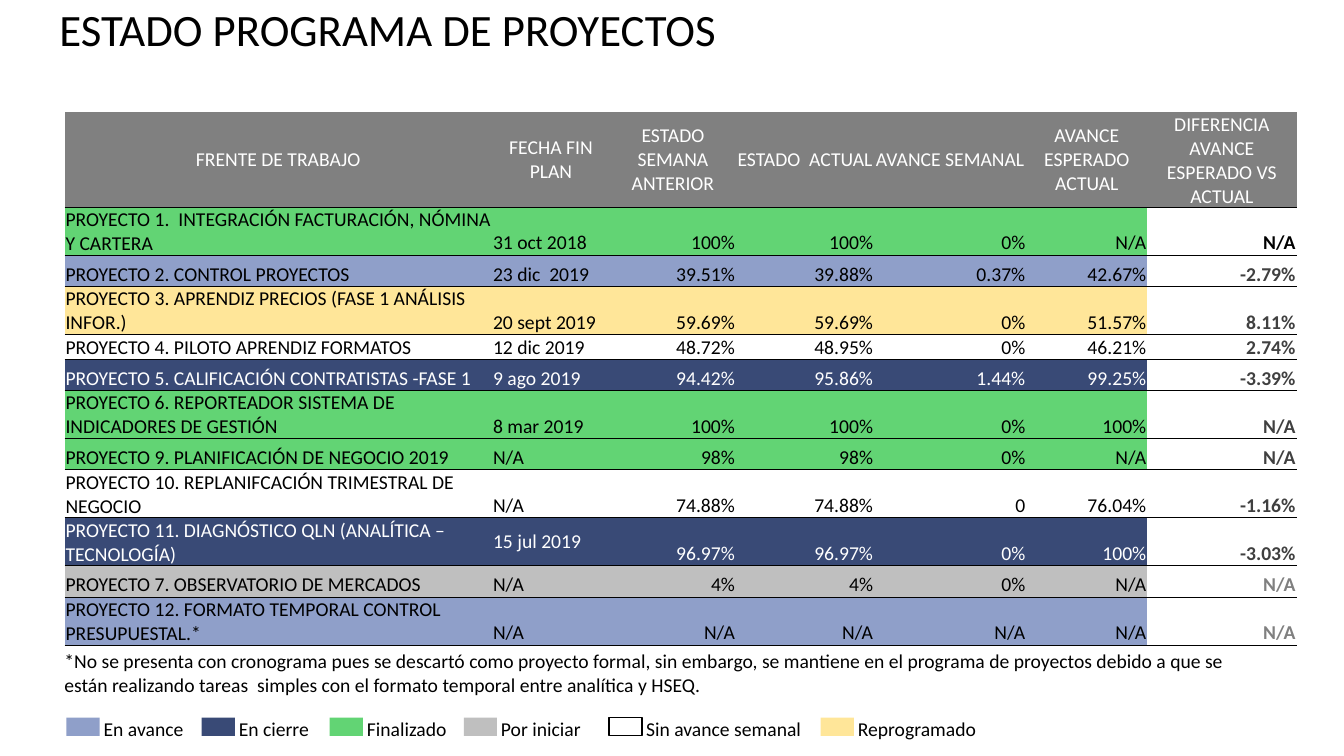
import lxml.etree
import pptx
import pptx.dml.color
import pptx.enum.shapes
import pptx.enum.text
import pptx.oxml.ns
import pptx.util

RGB = pptx.dml.color.RGBColor
ALIGN = pptx.enum.text.PP_ALIGN
ANCHOR = pptx.enum.text.MSO_ANCHOR

BLACK = RGB(0x00, 0x00, 0x00)
WHITE = RGB(0xFF, 0xFF, 0xFF)
HEADER_GREY = RGB(0x80, 0x80, 0x80)
DARK_GREY = RGB(0x40, 0x40, 0x40)
LIGHT_GREY = RGB(0xBF, 0xBF, 0xBF)
PERIWINKLE = RGB(0x8F, 0x9F, 0xC9)
NAVY = RGB(0x39, 0x4A, 0x76)
GREEN = RGB(0x62, 0xD4, 0x74)
YELLOW = RGB(0xFF, 0xE6, 0x99)

FONT = "Calibri"
NO_TABLE_STYLE = "{2D5ABB26-0587-4C30-8999-92F81FD0307C}"
GRID = pptx.util.Inches(0.1)  # side of one grid square

# Status: fill, text colour
STATUS = {
    "En avance": (PERIWINKLE, BLACK),
    "En cierre": (NAVY, WHITE),
    "Finalizado": (GREEN, BLACK),
    "Por iniciar": (LIGHT_GREY, BLACK),
    "Sin avance semanal": (WHITE, BLACK),
    "Reprogramado": (YELLOW, BLACK),
}
LEGEND_COLUMNS = [0, 13.4, 26.1, 39.4, 53.8, 74.8]

HEADERS = ["FRENTE DE TRABAJO", "FECHA FIN PLAN", "ESTADO SEMANA ANTERIOR",
           "ESTADO  ACTUAL", "AVANCE SEMANAL", "AVANCE ESPERADO ACTUAL",
           "DIFERENCIA AVANCE ESPERADO VS ACTUAL"]
COLUMN_WIDTHS = [42.4, 11.7, 12.5, 13.7, 15.1, 12, 14.8]
HEADER_HEIGHT, TALL, MEDIUM, SHORT = 9.4, 4.7, 3.1, 2.4

# Status, row height, colour of the difference, cell texts
PROJECTS = [
    ("Finalizado", TALL, BLACK,
     ["PROYECTO 1.  INTEGRACIÓN FACTURACIÓN, NÓMINA Y CARTERA ", "31 oct 2018",
      "100%", "100%", "0%", "N/A", "N/A"]),
    ("En avance", MEDIUM, DARK_GREY,
     ["PROYECTO 2. CONTROL PROYECTOS", "23 dic  2019",
      "39.51%", "39.88%", "0.37%", "42.67%", "-2.79%"]),
    ("Reprogramado", TALL, DARK_GREY,
     ["PROYECTO 3. APRENDIZ PRECIOS (FASE 1 ANÁLISIS INFOR.)", "20 sept 2019",
      "59.69%", "59.69%", "0%", "51.57%", "8.11%"]),
    ("Sin avance semanal", SHORT, DARK_GREY,
     ["PROYECTO 4. PILOTO APRENDIZ FORMATOS", "12 dic 2019",
      "48.72%", "48.95%", "0%", "46.21%", "2.74%"]),
    ("En cierre", MEDIUM, DARK_GREY,
     ["PROYECTO 5. CALIFICACIÓN CONTRATISTAS -FASE 1", "9 ago 2019",
      "94.42%", "95.86%", "1.44%", "99.25%", "-3.39%"]),
    ("Finalizado", TALL, DARK_GREY,
     ["PROYECTO 6. REPORTEADOR SISTEMA DE INDICADORES DE GESTIÓN", "8 mar 2019",
      "100%", "100%", "0%", "100%", "N/A"]),
    ("Finalizado", MEDIUM, DARK_GREY,
     ["PROYECTO 9. PLANIFICACIÓN DE NEGOCIO 2019", "N/A",
      "98%", "98%", "0%", "N/A", "N/A"]),
    ("Sin avance semanal", TALL, DARK_GREY,
     ["PROYECTO 10. REPLANIFCACIÓN TRIMESTRAL DE NEGOCIO", "N/A",
      "74.88%", "74.88%", "0", "76.04%", "-1.16%"]),
    ("En cierre", TALL, DARK_GREY,
     ["PROYECTO 11. DIAGNÓSTICO QLN (ANALÍTICA – TECNOLOGÍA)", "15 jul 2019",
      "96.97%", "96.97%", "0%", "100%", "-3.03%"]),
    ("Por iniciar", MEDIUM, HEADER_GREY,
     ["PROYECTO 7. OBSERVATORIO DE MERCADOS", "N/A",
      "4%", "4%", "0%", "N/A", "N/A"]),
    ("En avance", TALL, HEADER_GREY,
     ["PROYECTO 12. FORMATO TEMPORAL CONTROL PRESUPUESTAL.*", "N/A",
      "N/A", "N/A", "N/A", "N/A", "N/A"]),
]
MIDDLE_DATE = "15 jul 2019"
NOTE = ("*No se presenta con cronograma pues se descartó como proyecto formal, "
        "sin embargo, se mantiene en el programa de proyectos debido a que se "
        "están realizando tareas  simples con el formato temporal entre "
        "analítica y HSEQ.")


def squares(count):
    """Turn a count of grid squares into a length."""
    return round(count * GRID)


def write(frame, text, size=14, color=BLACK, bold=False, align=ALIGN.LEFT):
    """Put one formatted paragraph in a text frame."""
    frame.word_wrap = True
    para = frame.paragraphs[0]
    para.alignment = align
    span = para.add_run()
    span.text = text
    span.font.name = FONT
    span.font.size = pptx.util.Pt(size)
    span.font.bold = bold
    span.font.color.rgb = color


def add_text(page, box, text, **style):
    """Add a text box that fills the given box."""
    shape = page.shapes.add_textbox(*map(squares, box))
    write(shape.text_frame, text, **style)


def fill_cell(cell, text, fill, anchor=ANCHOR.BOTTOM, **style):
    """Write a table cell, colour it and rule a line under it."""
    cell.margin_left = cell.margin_right = cell.margin_top = squares(0.1)
    cell.margin_bottom = 0
    cell.vertical_anchor = anchor
    cell.fill.solid()
    cell.fill.fore_color.rgb = fill
    write(cell.text_frame, text, **style)
    qn = pptx.oxml.ns.qn
    line = lxml.etree.Element(qn("a:lnB"), w=str(pptx.util.Pt(0.5)))
    solid = lxml.etree.SubElement(line, qn("a:solidFill"))
    lxml.etree.SubElement(solid, qn("a:srgbClr"), val=str(BLACK))
    cell._tc.get_or_add_tcPr().insert(0, line)


def add_projects(page, left, top):
    """Place the project table with its top left corner at the given point."""
    heights = [HEADER_HEIGHT] + [project[1] for project in PROJECTS]
    box = left, top, sum(COLUMN_WIDTHS), sum(heights)
    table = page.shapes.add_table(len(heights), len(HEADERS),
                                  *map(squares, box)).table
    table._tbl.tblPr[0].text = NO_TABLE_STYLE
    table.horz_banding = False
    for column, width in zip(table.columns, COLUMN_WIDTHS):
        column.width = squares(width)
    for row, height in zip(table.rows, heights):
        row.height = squares(height)
    for cell, text in zip(table.rows[0].cells, HEADERS):
        fill_cell(cell, text, HEADER_GREY, anchor=ANCHOR.MIDDLE,
                  color=WHITE, align=ALIGN.CENTER)
    for number, (status, _, difference_color, texts) in enumerate(PROJECTS, 1):
        fill, color = STATUS[status]
        for index, text in enumerate(texts):
            last = index == len(texts) - 1
            fill_cell(table.cell(number, index), text, WHITE if last else fill,
                      anchor=ANCHOR.MIDDLE if text == MIDDLE_DATE else ANCHOR.BOTTOM,
                      color=difference_color if last else color, bold=last,
                      align=ALIGN.RIGHT if index > 1 else ALIGN.LEFT)


def add_legend(page, left, top):
    """Place a swatch and a label for each status along one line."""
    for offset, (label, (fill, _)) in zip(LEGEND_COLUMNS, STATUS.items()):
        box = left + offset, top + 0.6, 3.3, 1.8
        swatch = page.shapes.add_shape(pptx.enum.shapes.MSO_SHAPE.RECTANGLE,
                                       *map(squares, box))
        swatch.shadow.inherit = False
        swatch.fill.solid()
        swatch.fill.fore_color.rgb = fill
        if fill == WHITE:
            swatch.line.color.rgb = BLACK
            swatch.line.width = pptx.util.Pt(1)
        else:
            swatch.line.fill.background()
        add_text(page, (left + offset + 2.7, top, 19, 3.4), label)


def build_status_page(deck):
    """Build the slide on the state of the project programme."""
    page = deck.slides.add_slide(deck.slide_layouts[6])
    add_text(page, (4.9, -0.3, 118.9, 6.4), "ESTADO PROGRAMA DE PROYECTOS", size=32)
    add_projects(page, 6.4, 11.1)
    add_legend(page, 6.6, 70.6)
    add_text(page, (5.4, 63.9, 120.9, 5.7), NOTE)


deck = pptx.Presentation()
deck.slide_width, deck.slide_height = squares(133.3), squares(75)
build_status_page(deck)
deck.save("out.pptx")
